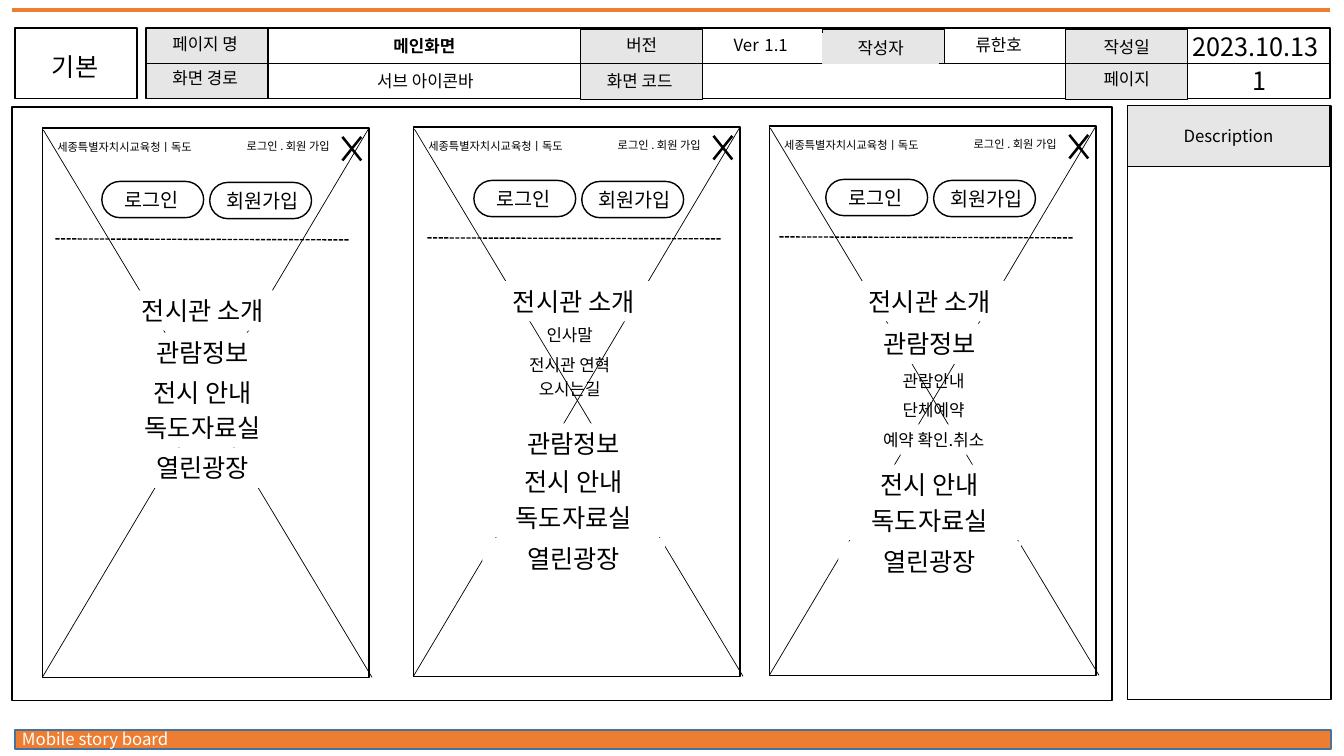
from lxml import etree
from pptx import Presentation
from pptx.dml.color import RGBColor
from pptx.enum.dml import MSO_LINE
from pptx.enum.shapes import MSO_CONNECTOR, MSO_SHAPE
from pptx.enum.text import MSO_ANCHOR, MSO_AUTO_SIZE, PP_ALIGN
from pptx.oxml.ns import qn
from pptx.util import Inches, Pt

RECT, PILL = MSO_SHAPE.RECTANGLE, MSO_SHAPE.ROUNDED_RECTANGLE
CROSS = MSO_SHAPE.MATH_MULTIPLY
STRAIGHT = MSO_CONNECTOR.STRAIGHT
DASHED = MSO_LINE.SQUARE_DOT
LEFT, CENTER, RIGHT = PP_ALIGN.LEFT, PP_ALIGN.CENTER, PP_ALIGN.RIGHT
TOP, FIT = MSO_ANCHOR.TOP, MSO_AUTO_SIZE.SHAPE_TO_FIT_TEXT

FONT = "Noto Sans CJK KR"
BLACK, WHITE, GRAY, ORANGE, BLUE = "000000", "FFFFFF", "E7E6E6", "ED7D31", "43739E"


def rgb(value):
    return RGBColor.from_string(value)


class Storyboard:
    """Drawing helpers for one slide; lengths are inches."""

    def __init__(self, slide):
        self.shapes = slide.shapes

    def box(self, x, y, w, h, fill=None, line=BLACK, weight=1, kind=RECT, adjust=None):
        shape = self.shapes.add_shape(kind, Inches(x), Inches(y), Inches(w), Inches(h))
        shape.shadow.inherit = False
        if adjust is not None:
            shape.adjustments[0] = adjust
        if fill:
            shape.fill.solid()
            shape.fill.fore_color.rgb = rgb(fill)
        else:
            shape.fill.background()
        if line:
            shape.line.color.rgb = rgb(line)
            shape.line.width = Pt(weight)
        else:
            shape.line.fill.background()
        return shape

    def line(self, x1, y1, x2, y2, color=BLACK, weight=0.5, dash=None):
        line = self.shapes.add_connector(
            STRAIGHT, Inches(x1), Inches(y1), Inches(x2), Inches(y2))
        line.line.color.rgb = rgb(color)
        line.line.width = Pt(weight)
        if dash:
            line.line.dash_style = dash
        etree.SubElement(line._element.spPr, qn("a:effectLst"))
        return line

    def set_text(self, shape, pieces, align=CENTER, color=BLACK, bold=False):
        frame = shape.text_frame
        frame.word_wrap = True
        frame.auto_size = FIT
        frame.vertical_anchor = TOP
        paragraph = frame.paragraphs[0]
        paragraph.alignment = align
        for text, size in pieces:
            run = paragraph.add_run()
            run.text = text
            run.font.size = Pt(size)
            run.font.bold = bold
            run.font.color.rgb = rgb(color)
            run.font.name = FONT
            east_asian = etree.SubElement(run.font._element, qn("a:ea"))
            east_asian.set("typeface", FONT)

    def label(self, pieces, x, y, w, h=0.3, **style):
        area = self.shapes.add_textbox(Inches(x), Inches(y), Inches(w), Inches(h))
        self.set_text(area, pieces, **style)

    def phone(self, x, y, menu_top, entries, login_x, submenu_center):
        # Frame, top bar and crossing diagonals
        self.box(x, y, 3.24, 5.45)
        self.label([("세종특별자치시교육청ㅣ독도", 8)], x + 0.05, y + 0.07, 1.87, 0.24, align=LEFT)
        self.label([("로그인 . 회원 가입", 8)], x + 1.71, y + 0.06, 1.24, 0.24, align=RIGHT)
        self.line(x, y + 5.45, x + 3.24, y)
        self.line(x + 3.27, y + 5.45, x + 0.01, y + 0.02)
        self.box(x + 2.89, y - 0.02, 0.36, 0.45, fill=BLACK, line=None, kind=CROSS, adjust=0.07)

        # Menu entries, with the open submenu in smaller type
        for text, offset, kind in entries:
            width, height, size, center = {
                "menu": (1.81, 0.4, 18, 1.59),
                "sub": (1.22, 0.3, 12, submenu_center),
                "filled sub": (1.45, 0.3, 12, submenu_center),
            }[kind]
            place = (x + center - width / 2, menu_top + offset, width, height)
            if kind == "sub":
                self.label([(text, size)], *place)
            else:
                self.set_text(self.box(*place, fill=WHITE, line=None), [(text, size)])

        # Login buttons and dashed divider
        left = x + login_x
        self.line(left, y + 1.1, left + 2.92, y + 1.11, weight=1, dash=DASHED)
        for text, shift, drop, text_shift in (("로그인", 0.46, 0.53, -0.03),
                                              ("회원가입", 1.53, 0.54, 0)):
            self.box(left + shift, y + drop, 1.01, 0.36, kind=PILL, adjust=0.5)
            self.label([(text, 14)], left + shift + text_shift, y + drop + 0.02, 1.05, 0.34)


def main():
    deck = Presentation()
    deck.slide_width, deck.slide_height = Inches(13.33), Inches(7.5)
    board = Storyboard(deck.slides.add_slide(deck.slide_layouts[6]))

    # Top rule and footer
    board.line(0.12, 0.1, 13.19, 0.1, ORANGE, 3)
    board.box(0.15, 7.24, 13.05, 0.19, fill=ORANGE, line=BLUE)
    board.label([("Mobile story board", 12)], 0.12, 7.18, 3.2, align=LEFT, color=WHITE)

    # Header grid
    board.box(0.15, 0.28, 1.21, 0.7)
    header = board.box(1.45, 0.28, 11.74, 0.7)
    board.box(0.12, 1.06, 10.91, 5.89)
    for x, y, h in ((1.45, 0.28, 0.7), (5.76, 0.29, 0.7), (8.16, 0.29, 0.34), (10.57, 0.29, 0.7)):
        board.box(x, y, 1.21, h, fill=GRAY)
    divider = board.line(1.45, 0.63, 13.19, 0.63)
    divider.begin_connect(header, 1)
    divider.end_connect(header, 3)

    # Header captions and values
    board.label([("기본", 18)], 0.17, 0.46, 1.15, 0.42)
    for text, x, y, w in (
        ("페이지 명", 1.46, 0.29, 1.15), ("화면 경로", 1.46, 0.62, 1.15),
        ("버전", 5.79, 0.3, 1.15), ("화면 코드", 5.77, 0.65, 1.15),
        ("작성일", 10.6, 0.32, 1.15), ("페이지", 10.6, 0.63, 1.15),
        ("류한호", 8.9, 0.3, 2.01), ("서브 아이콘바", 3.07, 0.65, 2.3),
    ):
        board.label([(text, 12)], x, y, w)
    author = board.box(8.16, 0.33, 1.15, 0.3, line=GRAY, weight=0.75)
    board.set_text(author, [("작성자", 12)])
    board.label([("메인화면", 12)], 3.06, 0.31, 2.3, bold=True)
    board.label([("2023.10.13", 18)], 11.45, 0.26, 2.01, 0.4)
    board.label([("Ver", 12), (" ", 18), ("1.1", 12)], 6.54, 0.21, 2.01, 0.4)
    board.label([("1", 18)], 11.8, 0.6, 1.39, 0.4)

    # Description panel
    board.box(11.18, 1.05, 2.02, 5.89)
    board.box(11.18, 1.05, 2.01, 0.6, fill=GRAY)
    board.label([("Description", 12)], 11.32, 1.2, 1.73)

    # Phones: closed menu, first menu open, second menu open
    intro, visit, shows, archive, forum = (
        "전시관 소개", "관람정보", "전시 안내", "독도자료실", "열린광장")
    board.phone(0.42, 1.27, 2.88, [
        (intro, 0, "menu"), (visit, 0.42, "menu"), (shows, 0.81, "menu"),
        (archive, 1.16, "menu"), (forum, 1.56, "menu"),
    ], login_x=0.13, submenu_center=1.55)
    board.phone(4.1, 1.26, 2.79, [
        (intro, 0, "menu"),
        ("인사말", 0.38, "sub"), ("전시관 연혁", 0.68, "sub"), ("오시는길", 0.92, "sub"),
        (visit, 1.41, "menu"), (shows, 1.79, "menu"),
        (archive, 2.14, "menu"), (forum, 2.55, "menu"),
    ], login_x=0.14, submenu_center=1.55)
    board.phone(7.63, 1.25, 2.79, [
        (intro, 0, "menu"), (visit, 0.42, "menu"),
        ("관람안내", 0.84, "sub"), ("단체예약", 1.13, "sub"),
        ("예약 확인.취소", 1.42, "filled sub"),
        (shows, 1.82, "menu"), (archive, 2.17, "menu"), (forum, 2.58, "menu"),
    ], login_x=0.1, submenu_center=1.63)

    deck.save("out.pptx")


if __name__ == "__main__":
    main()
